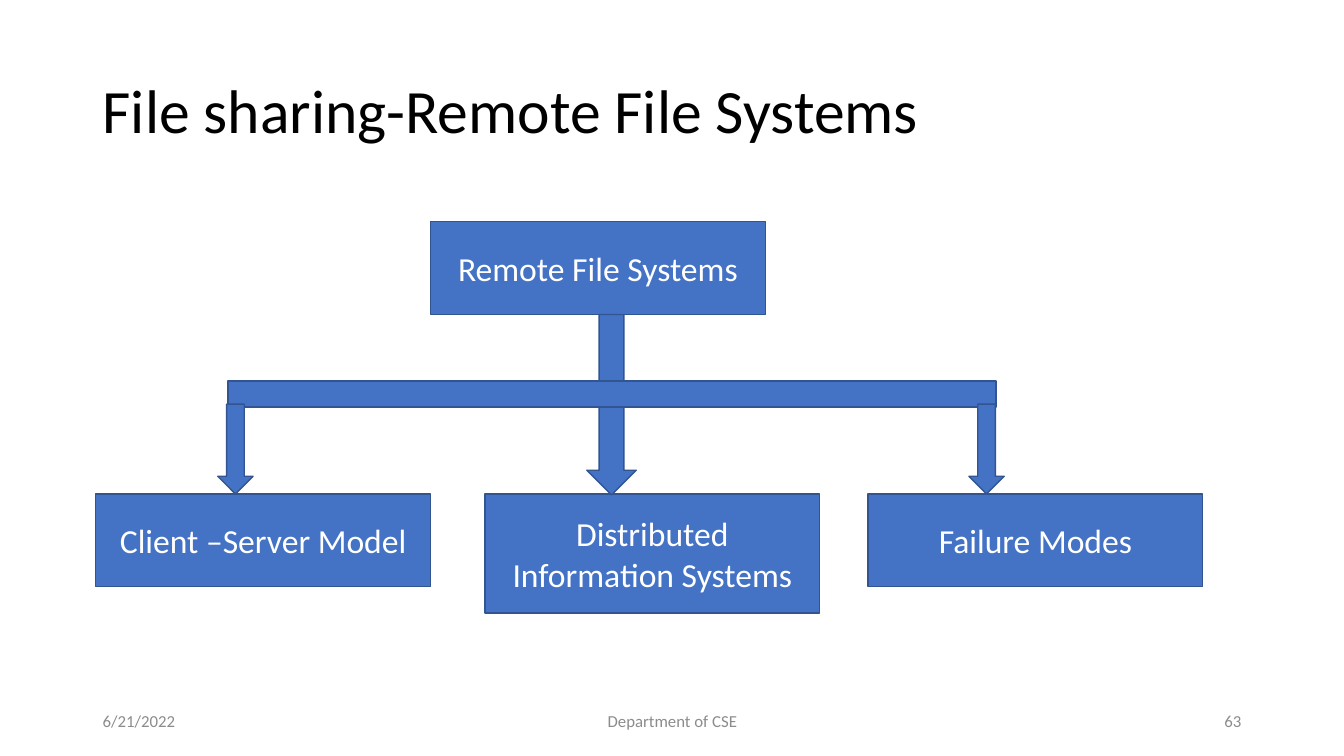
from dataclasses import dataclass

from pptx import Presentation
from pptx import util as u
from pptx.dml import color
from pptx.enum import shapes, text

EMU_PER_PX = 9144  # 100 px to the inch


@dataclass(frozen=True)
class Theme:
    font: str = "Calibri"
    ink: str = "000000"
    muted: str = "8C8C8C"
    fill: str = "4472C4"
    outline: str = "325491"
    on_fill: str = "FFFFFF"
    title_size: int = 44
    box_size: int = 24
    footer_size: int = 12
    line_width: int = 1


THEME = Theme()
LEFT, CENTER, RIGHT = text.PP_ALIGN.LEFT, text.PP_ALIGN.CENTER, text.PP_ALIGN.RIGHT
RECTANGLE = shapes.MSO_SHAPE.RECTANGLE
DOWN_ARROW = shapes.MSO_SHAPE.DOWN_ARROW


def px(*lengths):
    return [u.Emu(length * EMU_PER_PX) for length in lengths]


def rgb(value):
    return color.RGBColor.from_string(value)


def write(shape, wording, size, ink, align):
    frame = shape.text_frame
    frame.word_wrap = True
    frame.vertical_anchor = text.MSO_ANCHOR.MIDDLE
    frame.text = wording
    paragraph = frame.paragraphs[0]
    paragraph.alignment = align
    font = paragraph.runs[0].font
    font.name = THEME.font
    font.size = u.Pt(size)
    font.color.rgb = rgb(ink)
    return paragraph


def add_label(slide, bounds, wording, size, ink, align=LEFT):
    label = slide.shapes.add_textbox(*px(*bounds))
    return write(label, wording, size, ink, align)


def add_block(slide, kind, bounds):
    shape = slide.shapes.add_shape(kind, *px(*bounds))
    shape.shadow.inherit = False
    shape.fill.solid()
    shape.fill.fore_color.rgb = rgb(THEME.fill)
    shape.line.color.rgb = rgb(THEME.outline)
    shape.line.width = u.Pt(THEME.line_width)
    return shape


def add_topic(slide, left, top, wording, height=92):
    box = add_block(slide, RECTANGLE, (left, top, 332, height))
    write(box, wording, THEME.box_size, THEME.on_fill, CENTER)


def main():
    presentation = Presentation()
    presentation.slide_width, presentation.slide_height = px(1333, 750)
    slide = presentation.slides.add_slide(presentation.slide_layouts[6])

    # Title
    title = add_label(slide, (92, 40, 1150, 145), "File sharing-Remote File Systems",
                      THEME.title_size, THEME.ink)
    title.line_spacing = 0.9

    # Footer
    for left, width, wording, align in (
        (92, 300, "6/21/2022", LEFT),
        (442, 450, "Department of CSE", CENTER),
        (941, 300, "63", RIGHT),
    ):
        add_label(slide, (left, 695, width, 40), wording,
                  THEME.footer_size, THEME.muted, align)

    # Parent topic and its three branches
    branch_top = 490
    add_topic(slide, 427, 220, "Remote File Systems")
    add_topic(slide, 95, branch_top, "Client –Server Model")
    add_topic(slide, 481, branch_top, "Distributed Information Systems", height=118)
    add_topic(slide, 861, branch_top, "Failure Modes")

    # Trunk arrow, crossbar and side arrows
    add_block(slide, DOWN_ARROW, (582, 312, 49, 179))
    add_block(slide, RECTANGLE, (226, 378, 762, 26))
    for left in (216, 961):
        add_block(slide, DOWN_ARROW, (left, 401, 35, 89))

    presentation.save("out.pptx")


if __name__ == "__main__":
    main()
